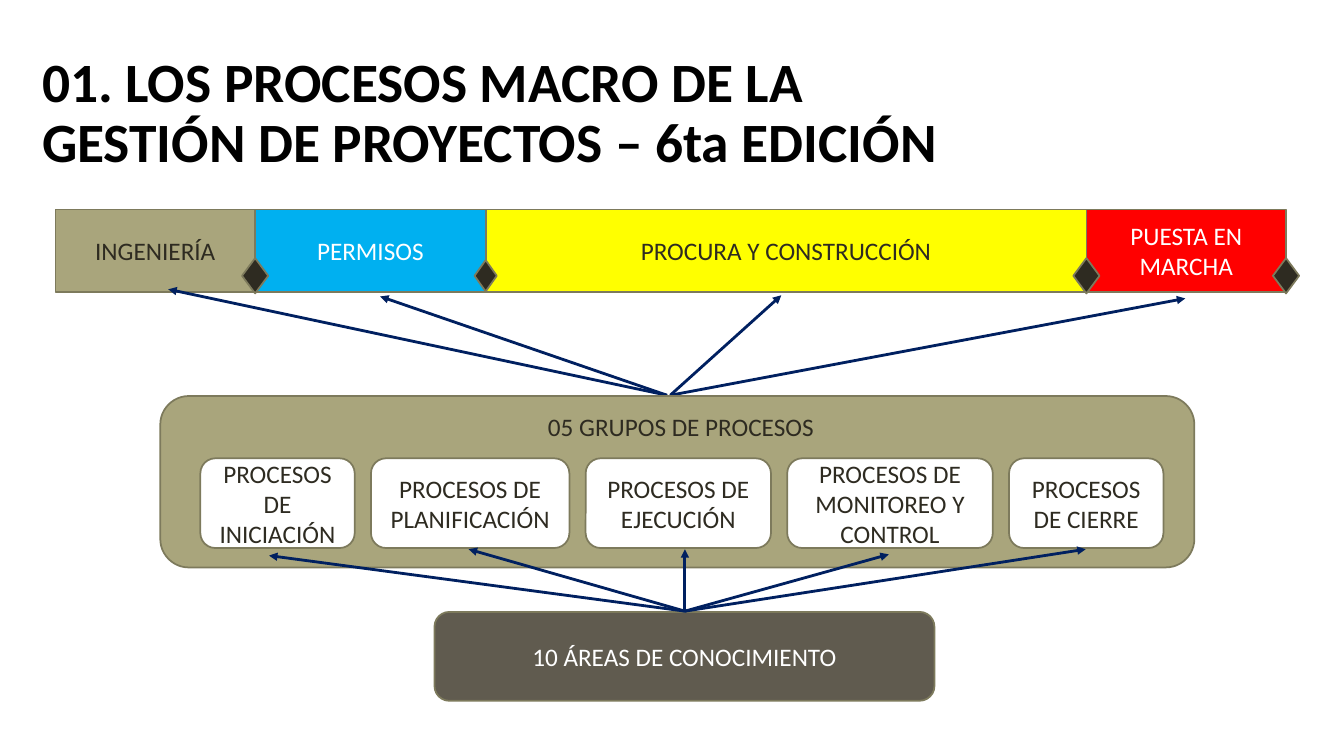
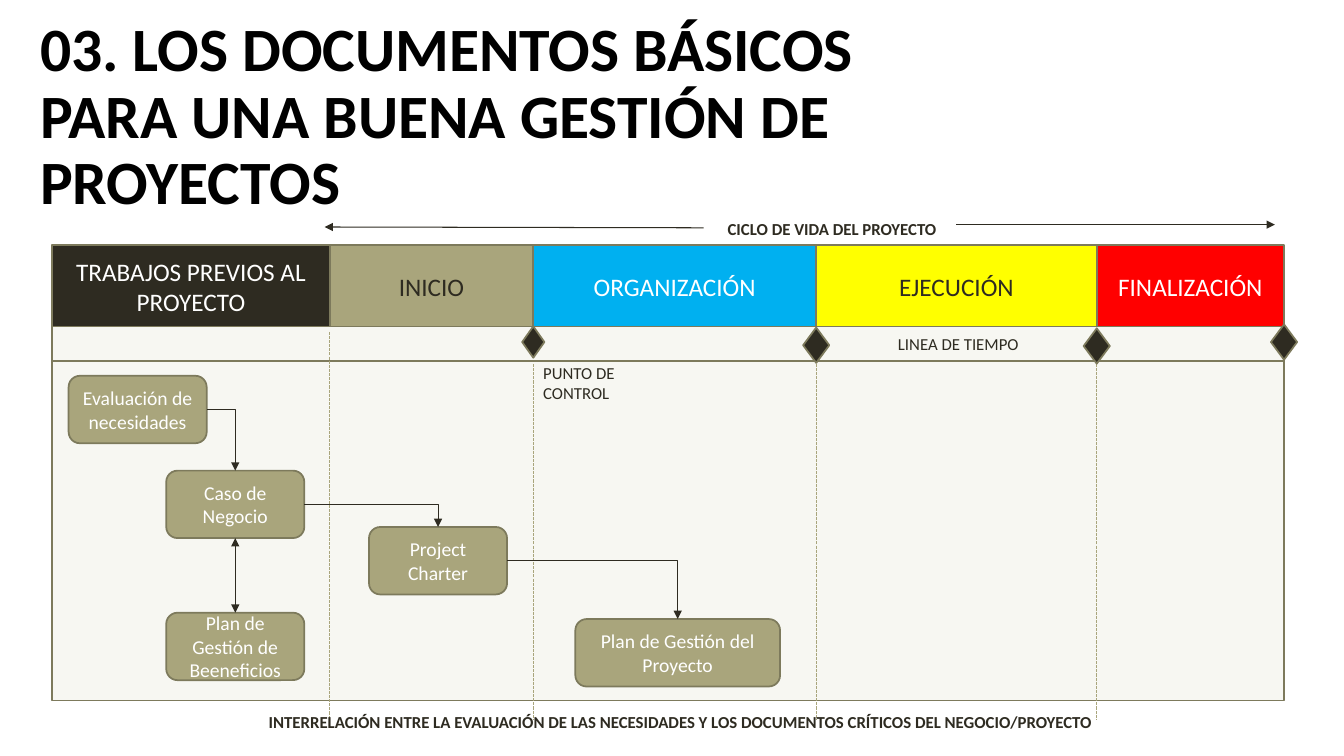
from dataclasses import dataclass
from itertools import accumulate

from lxml.etree import SubElement
from pptx import Presentation
from pptx.dml.color import RGBColor
from pptx.enum.dml import MSO_LINE
from pptx.enum.shapes import MSO_CONNECTOR, MSO_SHAPE
from pptx.enum.text import MSO_ANCHOR, PP_ALIGN
from pptx.oxml.ns import qn
from pptx.util import Cm, Pt


@dataclass(frozen=True)
class Theme:
    font: str = "Calibri"
    black: str = "000000"
    white: str = "FFFFFF"
    ink: str = "2E2B21"
    olive: str = "A9A57C"
    edge: str = "7D7A5C"
    stone: str = "605B4F"
    pale: str = "F7F7F2"
    sky: str = "00B0F0"
    yellow: str = "FFFF00"
    red: str = "FF0000"
    navy: str = "002060"
    label: float = 18
    step: float = 14
    note: float = 12
    outline: float = 1.25
    thin: float = 0.75
    thick: float = 2


THEME = Theme()
TOP, RIGHT, BOTTOM = 0, 3, 2
GATE, SMALL_GATE = (0.66, 0.89), (0.56, 0.79)


class Deck:
    """Draws the shared elements on the current slide, with lengths in centimetres."""

    def __init__(self):
        self.presentation = Presentation()
        self.presentation.slide_width = Cm(33.87)
        self.presentation.slide_height = Cm(19.05)
        self.slide = None

    def new_slide(self):
        self.slide = self.presentation.slides.add_slide(self.presentation.slide_layouts[6])

    def fill_text(self, frame, words, size, color, bold=False, align=PP_ALIGN.CENTER,
                  anchor=MSO_ANCHOR.MIDDLE, spacing=None):
        paragraph = frame.paragraphs[0]
        run = paragraph.add_run()
        run.text = words
        run.font.color.rgb = RGBColor.from_string(color)
        formats = {
            frame: {"word_wrap": True, "vertical_anchor": anchor},
            paragraph: {"alignment": align, "line_spacing": spacing},
            run.font: {"name": THEME.font, "size": Pt(size), "bold": bold},
        }
        for target, values in formats.items():
            for attribute, value in values.items():
                setattr(target, attribute, value)

    def text(self, box, words, size=THEME.note, color=THEME.ink, anchor=MSO_ANCHOR.TOP, **style):
        frame = self.slide.shapes.add_textbox(*map(Cm, box)).text_frame
        self.fill_text(frame, words, size, color, anchor=anchor, **style)

    def title(self, box, words, size):
        self.text(box, words, size, THEME.black, MSO_ANCHOR.MIDDLE,
                  bold=True, align=PP_ALIGN.LEFT, spacing=0.9)

    def shape(self, kind, box, fill, words="", color=THEME.white, size=THEME.label):
        block = self.slide.shapes.add_shape(kind, *map(Cm, box))
        block.shadow.inherit = False
        block.fill.solid()
        block.fill.fore_color.rgb = RGBColor.from_string(fill)
        block.line.color.rgb = RGBColor.from_string(THEME.edge)
        block.line.width = Pt(THEME.outline)
        if words:
            self.fill_text(block.text_frame, words, size, color)
        return block

    def band(self, left, top, stages):
        edges = list(accumulate((stage[0] for stage in stages), initial=left))
        for start, (width, words, fill, color) in zip(edges, stages):
            self.shape(MSO_SHAPE.FLOWCHART_PROCESS, (start, top, width, 2.08), fill, words, color)
        return edges

    def gate(self, x, y, size=GATE):
        width, height = size
        self.shape(MSO_SHAPE.FLOWCHART_DECISION,
                   (x - width / 2, y - height / 2, width, height), THEME.ink)

    def line(self, start, end, color=THEME.ink, width=THEME.thin, ends=("tailEnd",),
             dash=None, kind=MSO_CONNECTOR.STRAIGHT):
        link = self.slide.shapes.add_connector(kind, *map(Cm, (*start, *end)))
        link.line.color.rgb = RGBColor.from_string(color)
        for attribute, value in {"width": Pt(width), "dash_style": dash}.items():
            setattr(link.line, attribute, value)
        properties = link._element.spPr
        for end_name in ends:
            SubElement(properties.get_or_add_ln(), qn(f"a:{end_name}"), type="triangle")
        SubElement(properties, qn("a:effectLst"))
        return link

    def fan(self, hub, tips):
        for tip in tips:
            self.line(hub, tip, THEME.navy, THEME.thick)

    def join(self, source, site, target, bent=True, ends=("tailEnd",)):
        kind = MSO_CONNECTOR.ELBOW if bent else MSO_CONNECTOR.STRAIGHT
        link = self.line((0, 0), (0, 0), ends=ends, kind=kind)
        link.begin_connect(source, site)
        link.end_connect(target, TOP)
        if bent:
            link._element.spPr.find(qn("a:prstGeom")).set("prst", "bentConnector2")


def macro_processes(deck):
    deck.new_slide()
    edges = deck.band(1.4, 5.28, [
        (5.03, "INGENIERÍA", THEME.olive, THEME.ink),
        (5.81, "PERMISOS", THEME.sky, THEME.white),
        (15.14, "PROCURA Y CONSTRUCCIÓN", THEME.yellow, THEME.ink),
        (5.03, "PUESTA EN MARCHA", THEME.red, THEME.white),
    ])
    for x, size in zip(edges[1:], (GATE, SMALL_GATE, GATE, GATE)):
        deck.gate(x, 6.95, size)
    deck.fan((16.81, 9.96), [(4.24, 7.29), (9.58, 7.47)])
    deck.fan((16.89, 9.96), [(19.69, 7.44), (29.87, 7.52)])

    deck.shape(MSO_SHAPE.ROUNDED_RECTANGLE, (4.04, 9.98, 26.06, 4.32), THEME.olive)
    deck.shape(MSO_SHAPE.ROUNDED_RECTANGLE, (10.95, 15.42, 12.6, 2.24), THEME.stone,
               "10 ÁREAS DE CONOCIMIENTO")
    left, gap = 5.05, 0.41
    for width, group in [
        (3.89, "PROCESOS DE INICIACIÓN"),
        (5.0, "PROCESOS DE PLANIFICACIÓN"),
        (4.67, "PROCESOS DE EJECUCIÓN"),
        (5.18, "PROCESOS DE MONITOREO Y CONTROL"),
        (3.89, "PROCESOS DE CIERRE"),
    ]:
        deck.shape(MSO_SHAPE.FLOWCHART_ALTERNATE_PROCESS, (left, 11.55, width, 2.26),
                   THEME.white, group, THEME.ink)
        left += width + gap
    deck.text((13.56, 10.24, 8, 1.02), "05 GRUPOS DE PROCESOS", THEME.label,
              align=PP_ALIGN.LEFT)
    deck.fan((17.26, 15.4), [(6.78, 14), (11.81, 13.84), (17.26, 13.84),
                             (22.4, 13.97), (27.36, 13.84)])
    deck.title((0.81, 1.04, 23.22, 3.68),
               "01. LOS PROCESOS MACRO DE LA GESTIÓN DE PROYECTOS – 6ta EDICIÓN", 39.6)


def basic_documents(deck):
    deck.new_slide()
    edges = deck.band(1.32, 6.17, [
        (6.99, "TRABAJOS PREVIOS AL PROYECTO", THEME.ink, THEME.white),
        (5.13, "INICIO", THEME.olive, THEME.ink),
        (7.13, "ORGANIZACIÓN", THEME.sky, THEME.white),
        (7.07, "EJECUCIÓN", THEME.yellow, THEME.ink),
        (4.72, "FINALIZACIÓN", THEME.red, THEME.white),
    ])
    for top, height in ((8.23, 0.89), (9.09, 8.56)):
        deck.shape(MSO_SHAPE.FLOWCHART_PROCESS,
                   (edges[0], top, edges[-1] - edges[0], height), THEME.pale)
    for x, top in zip(edges[1:-1], (8.36, 9.17, 9.17, 9.17)):
        deck.line((x, top), (x, 18.15), THEME.olive, ends=(), dash=MSO_LINE.SQUARE_DOT)
    for x, y, size in zip(edges[2:], (8.62, 8.7, 8.72, 8.62), (SMALL_GATE, GATE, GATE, GATE)):
        deck.gate(x, y, size)

    needs, case, benefits, charter, plan = [
        deck.shape(MSO_SHAPE.ROUNDED_RECTANGLE, (left, top, width, 1.7), THEME.olive,
                   document, size=THEME.step)
        for left, top, width, document in [
            (1.73, 9.47, 3.48, "Evaluación de necesidades"),
            (4.19, 11.86, 3.48, "Caso de Negocio"),
            (4.19, 15.44, 3.48, "Plan de Gestión de Beeneficios"),
            (9.3, 13.28, 3.48, "Project Charter"),
            (14.5, 15.6, 5.16, "Plan de Gestión del Proyecto"),
        ]
    ]
    for source, target in ((needs, case), (case, charter), (charter, plan)):
        deck.join(source, RIGHT, target)
    deck.join(case, BOTTOM, benefits, bent=False, ends=("headEnd", "tailEnd"))

    deck.text((13.44, 9.02, 2.64, 1.27), "PUNTO DE CONTROL", align=PP_ALIGN.LEFT)
    deck.text((22.38, 8.28, 3.94, 0.76), "LINEA DE TIEMPO", align=PP_ALIGN.LEFT)
    deck.text((17.73, 5.38, 6.48, 0.76), "CICLO DE VIDA DEL PROYECTO", bold=True)
    deck.line((17.73, 5.74), (8.18, 5.72))
    deck.line((24.1, 5.66), (32.13, 5.66))
    deck.text((5.94, 17.81, 22.43, 0.76),
              "INTERRELACIÓN ENTRE LA EVALUACIÓN DE LAS NECESIDADES Y LOS DOCUMENTOS "
              "CRÍTICOS DEL NEGOCIO/PROYECTO", bold=True)
    deck.title((0.76, 1.14, 24.51, 3.68),
               "03. LOS DOCUMENTOS BÁSICOS PARA UNA BUENA GESTIÓN DE PROYECTOS", 44)


def main():
    deck = Deck()
    macro_processes(deck)
    basic_documents(deck)
    deck.presentation.save("out.pptx")


if __name__ == "__main__":
    main()
